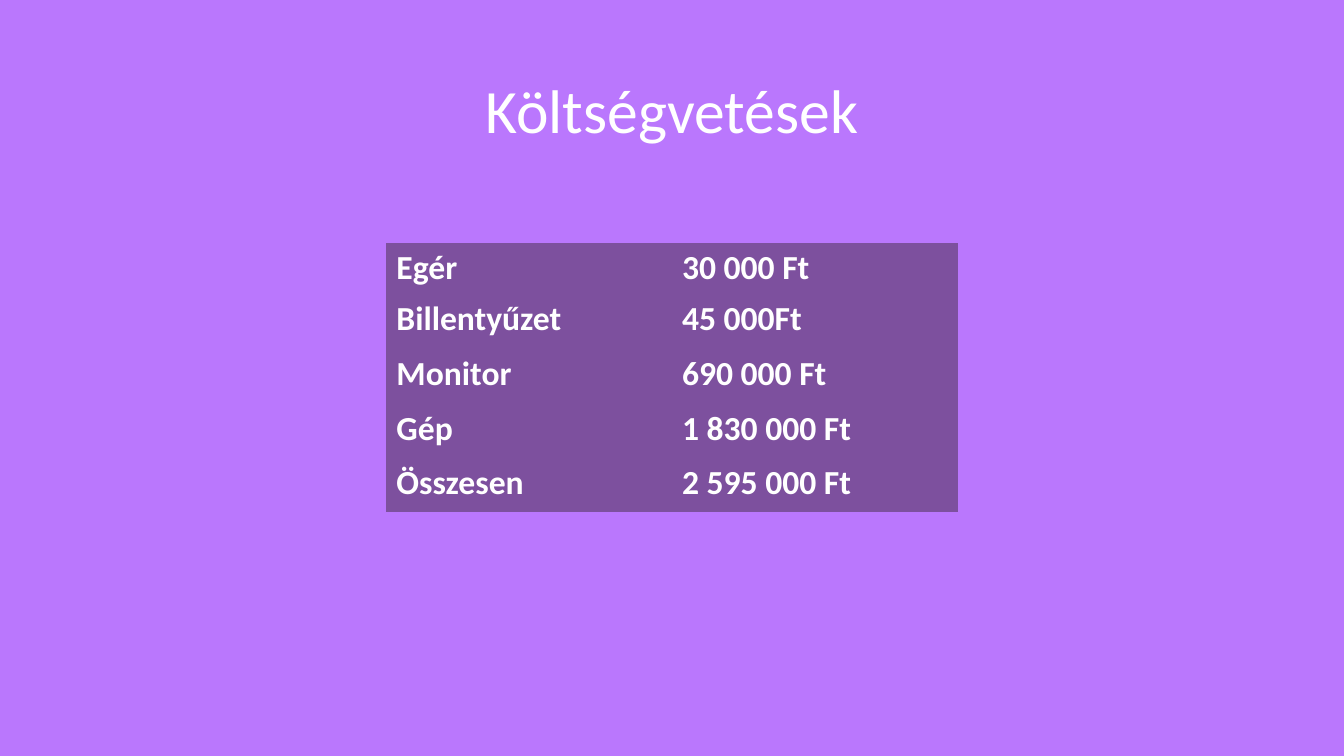
from pptx import Presentation
from pptx.dml.color import RGBColor
from pptx.enum.text import MSO_ANCHOR, PP_ALIGN
from pptx.oxml.ns import qn
from pptx.util import Inches, Pt

WIDTH, HEIGHT = 13.33, 7.5
COLORS = {"back": "BA77FD", "cell": "7D509E", "text": "FFFFFF"}
FONT = "Calibri"
PLAIN = "{2D5ABB26-0587-4C30-8999-92F81FD0307C}"  # table style without grid lines
COSTS = [
    ("Egér", "30 000 Ft"),
    ("Billentyűzet", "45 000Ft"),
    ("Monitor", "690 000 Ft"),
    ("Gép", "1 830 000 Ft"),
    ("Összesen", "2 595 000 Ft"),
]
COLS, ROWS = 80, 75  # grid units across and down the slide


class Deck:
    def __init__(self):
        self.file = Presentation()
        self.file.slide_width = Inches(WIDTH)
        self.file.slide_height = Inches(HEIGHT)
        self.slide = self.file.slides.add_slide(self.file.slide_layouts[5])
        self.paint(self.slide.background.fill, "back")

    def paint(self, fill, color):
        fill.solid()
        fill.fore_color.rgb = RGBColor.from_string(COLORS[color])

    def box(self, left, top, width, height):
        """Turn grid columns and rows into lengths."""
        across, down = WIDTH / COLS, HEIGHT / ROWS
        return (Inches(left * across), Inches(top * down),
                Inches(width * across), Inches(height * down))

    def label(self, frame, text, size, bold=False):
        frame.text = text
        for run in frame.paragraphs[0].runs:
            run.font.name = FONT
            run.font.size = Pt(size)
            run.font.bold = bold
            run.font.color.rgb = RGBColor.from_string(COLORS["text"])

    def title(self, text, area):
        shape = self.slide.shapes.title
        shape.left, shape.top, shape.width, shape.height = self.box(*area)
        frame = shape.text_frame
        self.label(frame, text, 44)
        frame.word_wrap = True
        frame.vertical_anchor = MSO_ANCHOR.MIDDLE
        frame.paragraphs[0].alignment = PP_ALIGN.CENTER
        frame.paragraphs[0].line_spacing = 0.9

    def table(self, data, area, heights):
        frame = self.slide.shapes.add_table(len(data), len(data[0]), *self.box(*area))
        table = frame.table
        table.first_row = table.horz_banding = False
        next(frame.element.iter(qn("a:tableStyleId"))).text = PLAIN
        for row, texts, height in zip(table.rows, data, heights):
            row.height = Inches(height * HEIGHT / ROWS)
            for cell, text in zip(row.cells, texts):
                self.paint(cell.fill, "cell")
                self.label(cell.text_frame, text, 24, bold=True)


def main():
    deck = Deck()
    deck.title("Költségvetések", (5.5, 4, 69, 14.5))
    first, other = 5, 5.42
    heights = [first] + [other] * (len(COSTS) - 1)
    deck.table(COSTS, (23, 24.1, 34, sum(heights)), heights)
    deck.file.save("out.pptx")


if __name__ == "__main__":
    main()
